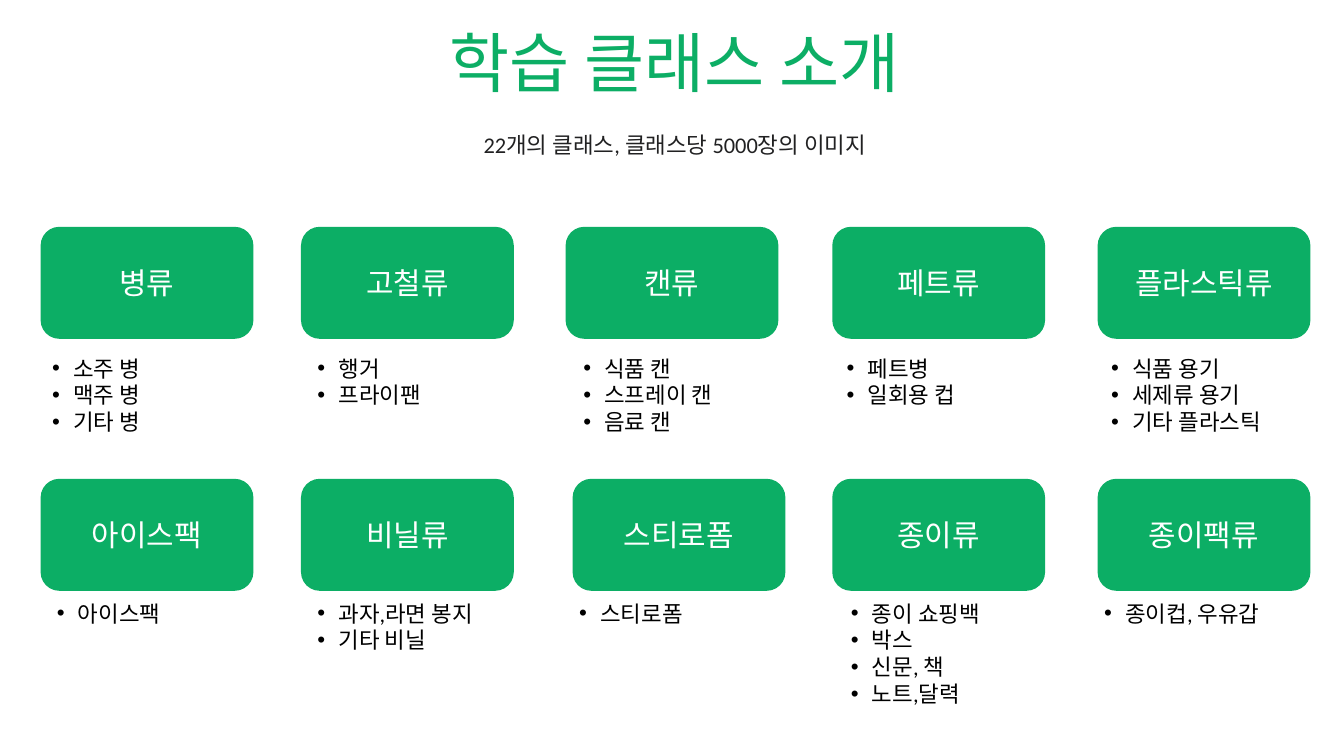
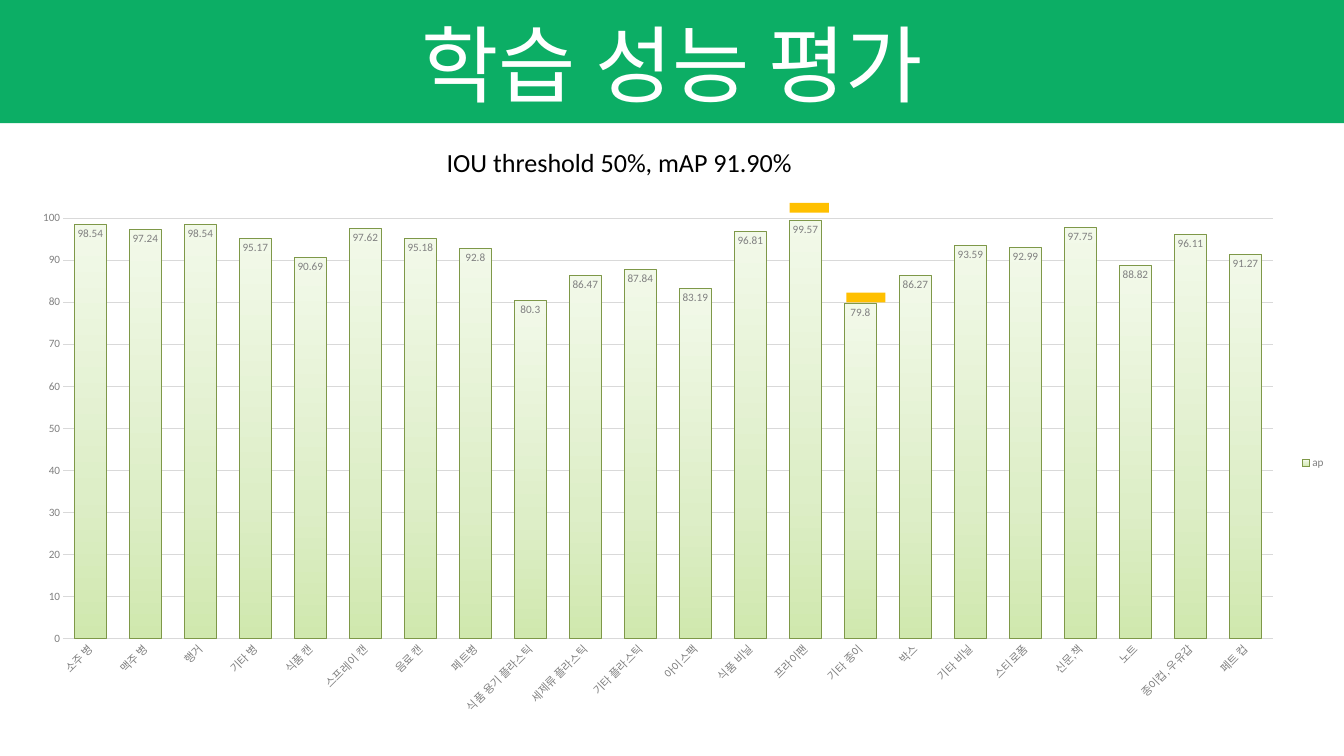
from copy import deepcopy
from dataclasses import dataclass

from lxml.etree import SubElement
from pptx import Presentation
from pptx.chart.data import CategoryChartData
from pptx.dml.color import RGBColor
from pptx.enum.chart import XL_CHART_TYPE, XL_LABEL_POSITION, XL_LEGEND_POSITION, XL_TICK_MARK
from pptx.enum.shapes import MSO_SHAPE
from pptx.enum.text import MSO_ANCHOR, MSO_AUTO_SIZE, PP_ALIGN
from pptx.oxml.ns import qn
from pptx.util import Pt

PX = 9525  # 96 px to the inch


@dataclass(frozen=True)
class Theme:
    font = "Calibri"
    green = RGBColor(0x0C, 0xAE, 0x65)
    white = RGBColor(0xFF, 0xFF, 0xFF)
    black = RGBColor(0x00, 0x00, 0x00)
    ink = RGBColor(0x21, 0x21, 0x22)
    amber = RGBColor(0xFF, 0xC0, 0x00)
    gray = RGBColor(0x80, 0x80, 0x80)
    grid = RGBColor(0xD9, 0xD9, 0xD9)
    column_line = RGBColor(0x7E, 0x98, 0x48)
    column_stops = (
        (0, RGBColor(0xD0, 0xE8, 0xAE)),
        (0.35, RGBColor(0xDD, 0xEE, 0xC7)),
        (1, RGBColor(0xF2, 0xF9, 0xE9)),
    )
    title_size = 70
    banner_size = 90
    card_size = 32
    caption_size = 28
    body_size = 24
    chart_size = 12


theme = Theme()


def write(shape, lines, size, color, align=PP_ALIGN.LEFT, spacing=None, bullet=None):
    """Fill a shape with paragraphs in one style; bullet None leaves bullets off."""
    frame = shape.text_frame
    frame.text = "\n".join(lines)
    frame.word_wrap = True
    for paragraph in frame.paragraphs:
        properties = paragraph._p.get_or_add_pPr()
        indent = 30 * PX if bullet else 0
        properties.set("marL", str(indent))
        properties.set("indent", str(-indent))
        if bullet:
            SubElement(properties, qn("a:buFont"), typeface="Arial")
            SubElement(properties, qn("a:buChar"), char=bullet)
        else:
            SubElement(properties, qn("a:buNone"))
        paragraph.alignment = align
        paragraph.space_before = Pt(0)
        if spacing:
            paragraph.line_spacing = Pt(spacing)
        for run in paragraph.runs:
            run.font.name = theme.font
            run.font.size = Pt(size)
            run.font.color.rgb = color


def add_block(slide, kind, left, top, width, height, color):
    block = slide.shapes.add_shape(kind, left * PX, top * PX, width * PX, height * PX)
    block.shadow.inherit = False
    block.fill.solid()
    block.fill.fore_color.rgb = color
    block.line.fill.background()
    return block


presentation = Presentation()
presentation.slide_width = 1920 * PX
presentation.slide_height = 1080 * PX
layout = presentation.slide_layouts[1]

# Both slides: a title and one line of body text below it
class_slide = presentation.slides.add_slide(layout)
result_slide = presentation.slides.add_slide(layout)
headings = [
    (class_slide.shapes.title, "학습 클래스 소개", (274, 41, 1380, 104),
     theme.title_size, theme.green, PP_ALIGN.CENTER, 77, 0),
    (class_slide.placeholders[1], "22개의 클래스, 클래스당 5000장의 이미지", (274, 181, 1380, 41),
     theme.body_size, theme.ink, PP_ALIGN.CENTER, 33.6, 0),
    (result_slide.shapes.title, "학습 성능 평가", (249, 30, 1423, 134),
     theme.banner_size, theme.white, PP_ALIGN.CENTER, 99, 0),
    (result_slide.placeholders[1], "IOU threshold 50%, mAP 91.90%", (628, 204, 664, 55),
     theme.caption_size, theme.black, PP_ALIGN.LEFT, None, 1),
]
for shape, text, box, size, color, align, spacing, inset in headings:
    shape.left, shape.top, shape.width, shape.height = [length * PX for length in box]
    frame = shape.text_frame
    frame.margin_left = frame.margin_right = inset * 10 * PX
    frame.margin_top = frame.margin_bottom = inset * 5 * PX
    frame.vertical_anchor = MSO_ANCHOR.TOP
    frame.auto_size = MSO_AUTO_SIZE.NONE
    write(shape, [text], size, color, align, spacing)

# Slide 1: class cards, each as (name, card left, list left, list width, items)
card_rows = [
    (324, 502, [
        ("병류", 58, 65, 304, ["소주 병", "맥주 병", "기타 병"]),
        ("고철류", 430, 444, 248, ["행거", "프라이팬"]),
        ("캔류", 808, 824, 248, ["식품 캔", "스프레이 캔", "음료 캔"]),
        ("페트류", 1189, 1200, 248, ["페트병", "일회용 컵"]),
        ("플라스틱류", 1568, 1578, 270, ["식품 용기", "세제류 용기", "기타 플라스틱"]),
    ]),
    (684, 852, [
        ("아이스팩", 58, 72, 248, ["아이스팩"]),
        ("비닐류", 430, 444, 295, ["과자,라면 봉지", "기타 비닐"]),
        ("스티로폼", 818, 818, 248, ["스티로폼"]),
        ("종이류", 1189, 1206, 304, ["종이 쇼핑백", "박스", "신문, 책", "노트,달력"]),
        ("종이팩류", 1568, 1568, 280, ["종이컵, 우유갑"]),
    ]),
]
for card_top, list_top, cards in card_rows:
    for name, card_left, list_left, list_width, items in cards:
        card = add_block(class_slide, MSO_SHAPE.ROUNDED_RECTANGLE,
                         card_left, card_top, 304, 160, theme.green)
        card.text_frame.vertical_anchor = MSO_ANCHOR.MIDDLE
        write(card, [name], theme.card_size, theme.white, PP_ALIGN.CENTER)
        item_list = class_slide.shapes.add_textbox(
            list_left * PX, list_top * PX, list_width * PX, (9 + 39 * len(items)) * PX)
        item_list.text_frame.auto_size = MSO_AUTO_SIZE.SHAPE_TO_FIT_TEXT
        write(item_list, items, theme.body_size, theme.black, bullet="•")

# Slide 2: banner behind the title
banner = add_block(result_slide, MSO_SHAPE.RECTANGLE, 0, -4, 1920, 180, theme.green)
result_slide.shapes.title.element.addprevious(banner.element)

# Slide 2: average precision per class
precision = {
    "소주 병": 98.54, "맥주 병": 97.24, "행거": 98.54, "기타 병": 95.17,
    "식품 캔": 90.69, "스프레이 캔": 97.62, "음료 캔": 95.18, "페트병": 92.8,
    "식품 용기 플라스틱": 80.3, "세제류 플라스틱": 86.47, "기타 플라스틱": 87.84,
    "아이스팩": 83.19, "식품 비닐": 96.81, "프라이팬": 99.57, "기타 종이": 79.8,
    "박스": 86.27, "기타 비닐": 93.59, "스티로폼": 92.99, "신문,책": 97.75,
    "노트": 88.82, "종이컵, 우유갑": 96.11, "페트 컵": 91.27,
}
chart_data = CategoryChartData()
chart_data.categories = list(precision)
chart_data.add_series("ap", list(precision.values()))
chart = result_slide.shapes.add_chart(
    XL_CHART_TYPE.COLUMN_CLUSTERED, 24 * PX, 287 * PX, 1880 * PX, 749 * PX, chart_data).chart
chart.has_title = False
chart.has_legend = True
chart.legend.position = XL_LEGEND_POSITION.RIGHT
chart.legend.include_in_layout = False

plot = chart.plots[0]
plot.vary_by_categories = False
plot.gap_width = 75
plot.overlap = 40
plot.has_data_labels = True
plot.data_labels.show_value = True
plot.data_labels.position = XL_LABEL_POSITION.INSIDE_END

category_axis, value_axis = chart.category_axis, chart.value_axis
for font in (chart.font, chart.legend.font, plot.data_labels.font,
             category_axis.tick_labels.font, value_axis.tick_labels.font):
    font.name = theme.font
    font.size = Pt(theme.chart_size)
    font.color.rgb = theme.gray
for axis in (category_axis, value_axis):
    axis.major_tick_mark = axis.minor_tick_mark = XL_TICK_MARK.NONE
category_axis._element.xpath("c:txPr/a:bodyPr")[0].set("rot", "-2700000")
value_axis.minimum_scale = 0
value_axis.maximum_scale = 100
value_axis.major_unit = 10
value_axis.format.line.fill.background()

series = plot.series[0]
for line, color in ((category_axis.format.line, theme.grid),
                    (value_axis.major_gridlines.format.line, theme.grid),
                    (series.format.line, theme.column_line)):
    line.color.rgb = color
    line.width = Pt(0.75)

fill = series.format.fill
fill.gradient()
fill.gradient_angle = 90
first_stop = series._element.xpath("c:spPr/a:gradFill/a:gsLst/a:gs")[0]
first_stop.addnext(deepcopy(first_stop))
for stop, (position, color) in zip(fill.gradient_stops, theme.column_stops):
    stop.position = position
    stop.color.rgb = color

# Slide 2: markers over the highest and the lowest column
for left, top in ((1128, 290), (1209, 418)):
    add_block(result_slide, MSO_SHAPE.RECTANGLE, left, top, 56, 14, theme.amber)

presentation.save("out.pptx")
